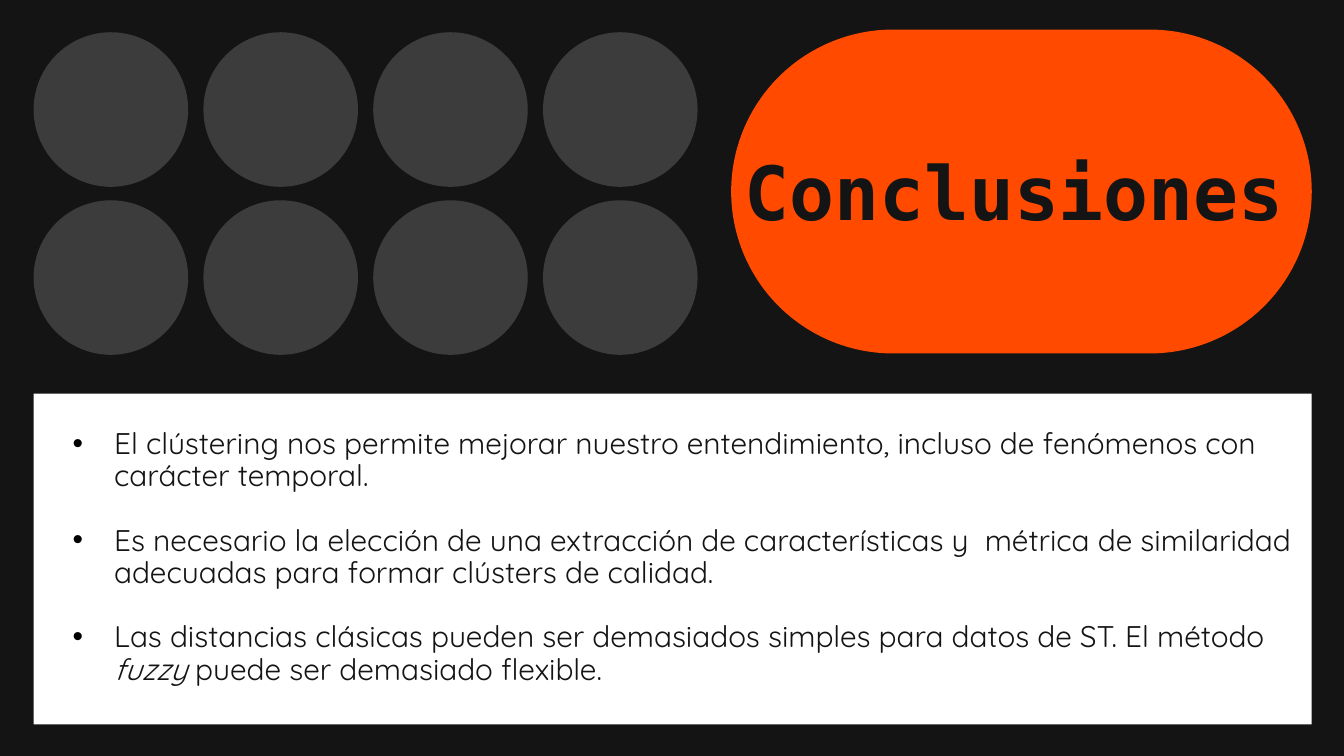
"""Build the closing slide: a dot grid, a title pill and a panel of bullets."""
import pptx
import pptx.util
import pptx.dml.color
import pptx.enum.shapes
import pptx.enum.text
import pptx.oxml.ns
import lxml.etree

TITLE = "Conclusiones"
POINTS = [
    [("El clústering nos permite mejorar nuestro entendimiento, incluso de "
      "fenómenos con carácter temporal.", False)],
    [("Es necesario la elección de una extracción de características y  "
      "métrica de similaridad adecuadas para formar clústers de calidad.", False)],
    [("Las distancias clásicas pueden ser demasiados simples para datos de ST. "
      "El método ", False),
     ("fuzzy ", True),
     ("puede ser demasiado flexible.", False)],
]
THEME = {
    "ink": "141414", "dot": "3C3C3C", "pill": "FF4A00", "panel": "FFFFFF",
    "mark": "000000",
    "title": {"name": "DejaVu Sans Mono", "size": pptx.util.Pt(40), "bold": True},
    "body": {"name": "Quicksand", "size": pptx.util.Pt(16)},
}
WIDE = 10
HIGH = WIDE * 9 / 16
EDGE = 0.25
COLS, ROWS = 4, 2
DOT, TOP = 1.15, 0.24
STEP_X = (4.04 - EDGE) / (COLS - 1)
STEP_Y = 1.25
PILL = (5.44, 0.22, 4.32, 2.41)
PANEL = (EDGE, 2.93, 9.51, 2.46)
HEAD = (5.54, 0.47, 4.21, 1.27)
LIST = (0.54, 3.19, 9.24, 2.1)
INDENT = 0.31
GAP = 17.3

KIND = pptx.enum.shapes.MSO_SHAPE
ANCHOR = pptx.enum.text.MSO_ANCHOR


def color(key):
    return pptx.dml.color.RGBColor.from_string(THEME[key])


def place(box):
    return [pptx.util.Inches(n) for n in box]


def apply(item, form):
    for key, value in form.items():
        setattr(item, key, value)


def draw(slide, kind, box, key):
    shape = slide.shapes.add_shape(kind, *place(box))
    shape.shadow.inherit = False
    shape.fill.solid()
    shape.fill.fore_color.rgb = color(key)
    shape.line.fill.background()
    return shape


def frame(slide, box, anchor):
    text = slide.shapes.add_textbox(*place(box)).text_frame
    apply(text, {"word_wrap": True, "vertical_anchor": anchor,
                 "margin_left": 0, "margin_right": 0,
                 "margin_top": 0, "margin_bottom": 0})
    return text


def write(para, words, style, **extra):
    run = para.add_run()
    run.text = words
    apply(run.font, {**THEME[style], **extra})
    run.font.color.rgb = color("ink")


def bullet(para):
    props = para._p.get_or_add_pPr()
    indent = pptx.util.Inches(INDENT)
    props.set("marL", str(indent))
    props.set("indent", str(-indent))
    name = pptx.oxml.ns.qn
    tint = lxml.etree.SubElement(props, name("a:buClr"))
    lxml.etree.SubElement(tint, name("a:srgbClr"), val=THEME["mark"])
    lxml.etree.SubElement(props, name("a:buFont"), typeface="Arial")
    lxml.etree.SubElement(props, name("a:buChar"), char="•")


def main():
    deck = pptx.Presentation()
    apply(deck, {"slide_width": pptx.util.Inches(WIDE),
                 "slide_height": pptx.util.Inches(HIGH)})
    slide = deck.slides.add_slide(deck.slide_layouts[6])
    slide.background.fill.solid()
    slide.background.fill.fore_color.rgb = color("ink")

    draw(slide, KIND.RECTANGLE, PANEL, "panel")
    pill = draw(slide, KIND.ROUNDED_RECTANGLE, PILL, "pill")
    pill.adjustments[0] = 0.5
    for row in range(ROWS):
        for col in range(COLS):
            box = (EDGE + col * STEP_X, TOP + row * STEP_Y, DOT, DOT)
            draw(slide, KIND.OVAL, box, "dot")

    text = frame(slide, LIST, ANCHOR.TOP)
    for i, point in enumerate(POINTS):
        para = text.add_paragraph() if i else text.paragraphs[0]
        bullet(para)
        apply(para, {"line_spacing": 0.9,
                     "space_before": pptx.util.Pt(GAP if i else 0)})
        for words, slant in point:
            write(para, words, "body", italic=slant)

    para = frame(slide, HEAD, ANCHOR.BOTTOM).paragraphs[0]
    apply(para, {"line_spacing": 0.75, "space_after": pptx.util.Pt(2)})
    write(para, TITLE, "title")
    deck.save("out.pptx")


if __name__ == "__main__":
    main()
